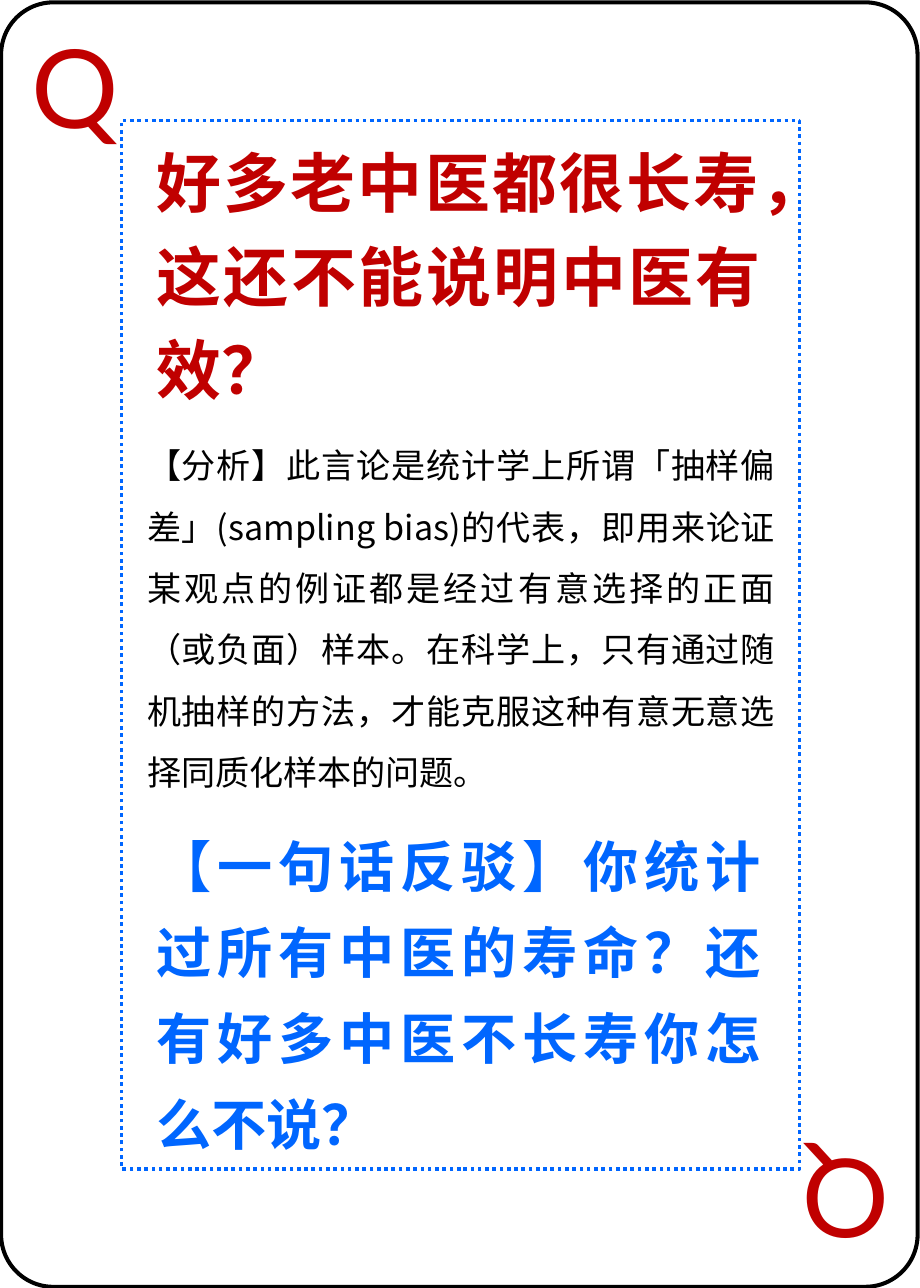
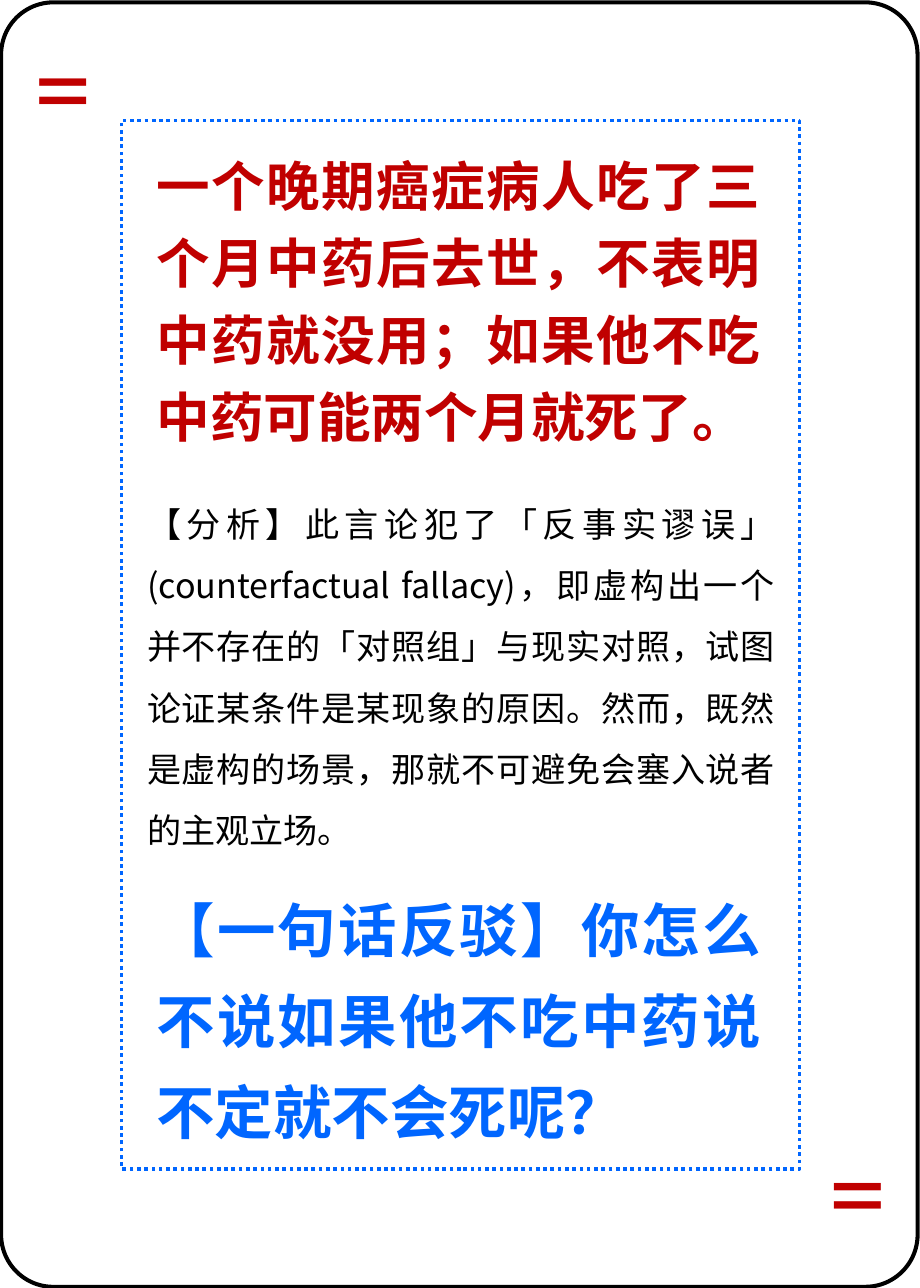
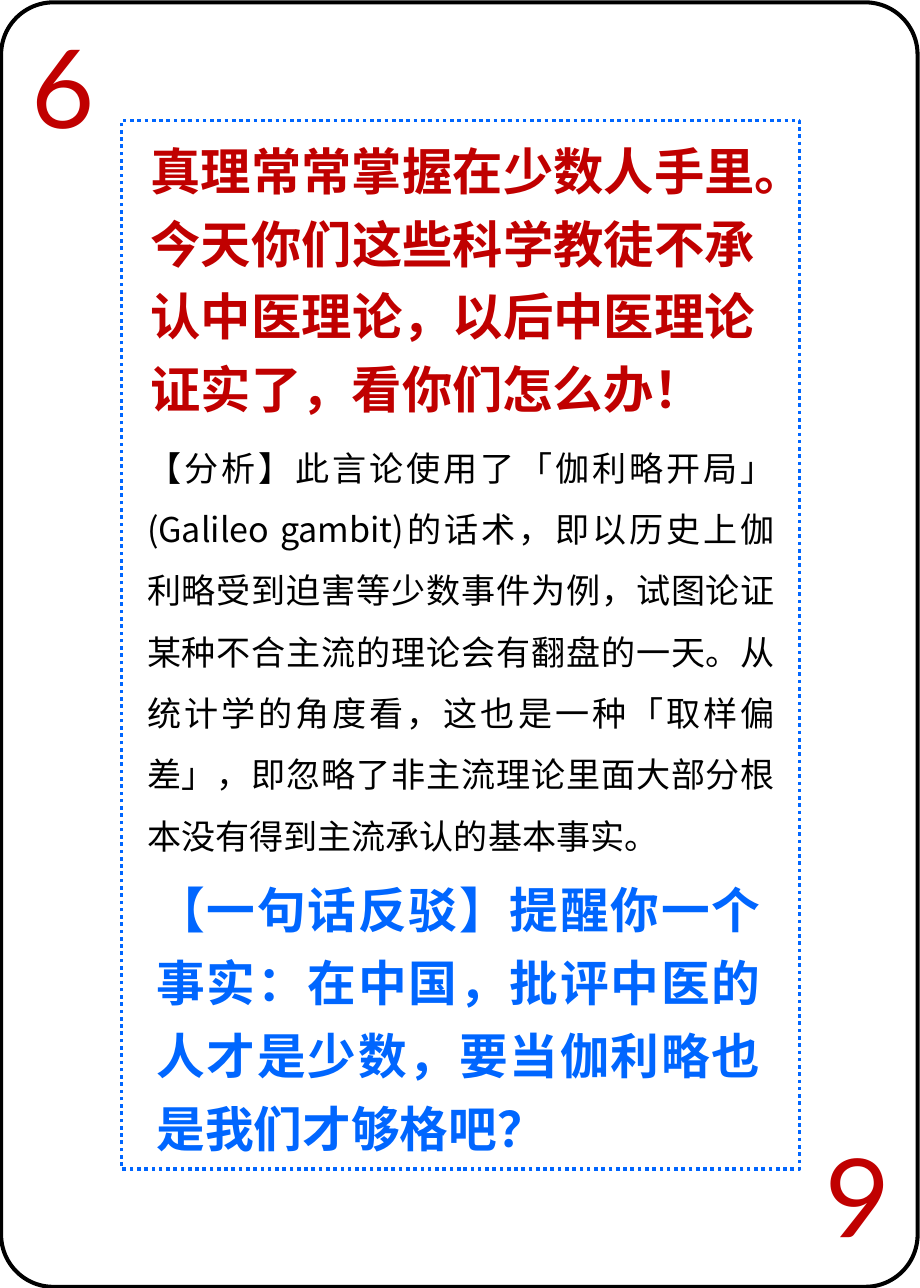
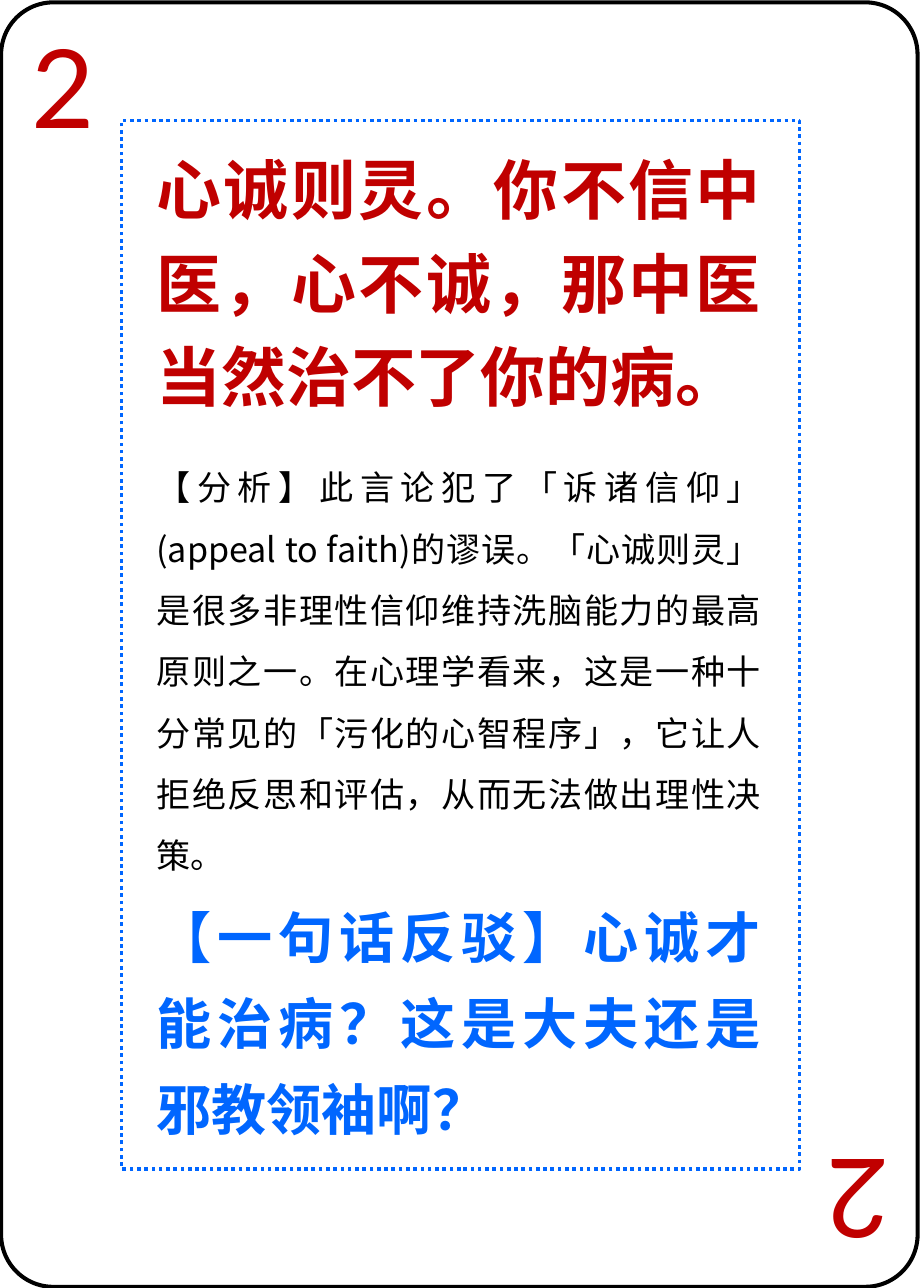
from dataclasses import dataclass

from lxml.etree import SubElement
from pptx import Presentation
from pptx.dml.color import RGBColor
from pptx.enum.dml import MSO_LINE
from pptx.enum.shapes import MSO_SHAPE
from pptx.enum.text import MSO_AUTO_SIZE, PP_ALIGN
from pptx.oxml.ns import qn
from pptx.util import Pt

SCALE = 9144
WIDE, HIGH = 787, 1102


@dataclass(frozen=True)
class Theme:
    """Colours, fonts and type sizes of the cards."""
    red: str = "C00000"
    blue: str = "0066FF"
    black: str = "000000"
    latin: str = "Lato"
    han: str = "Noto Sans CJK SC"
    rank: float = 67.2
    body: int = 21


class Deck:
    """Draws playing cards, one to a slide."""

    def __init__(self, theme):
        """Start an empty deck in card format."""
        self.theme = theme
        self.prs = Presentation()
        self.prs.slide_width = WIDE * SCALE
        self.prs.slide_height = HIGH * SCALE
        self.slide = None

    def start(self):
        """Open a new blank slide."""
        self.slide = self.prs.slides.add_slide(self.prs.slide_layouts[6])

    def text(self, box, words, size, color, font, bold=False):
        """Place a wrapped text box and return it."""
        shape = self.slide.shapes.add_textbox(*(n * SCALE for n in box))
        frame = shape.text_frame
        frame.word_wrap = True
        frame.auto_size = MSO_AUTO_SIZE.SHAPE_TO_FIT_TEXT
        frame.text = words
        run = frame.paragraphs[0].runs[0]
        run.font.size = Pt(size)
        run.font.bold = bold
        run.font.name = font
        run.font.color.rgb = RGBColor.from_string(color)
        SubElement(run.font._element, qn("a:ea")).set("typeface", font)
        return shape

    def block(self, box, words, size, color, space, bold=True):
        """Place a justified Chinese paragraph."""
        shape = self.text(box, words, size, color, self.theme.han, bold)
        para = shape.text_frame.paragraphs[0]
        para.alignment = PP_ALIGN.JUSTIFY
        para.line_spacing = space

    def rank(self, sign):
        """Put the rank in two corners, the second upside down."""
        look = self.theme
        for left, top, turn in ((17, 12, 0), (695, 967, 180)):
            shape = self.text((left, top, 76, 123), sign, look.rank,
                              look.red, look.latin)
            shape.rotation = turn

    def outline(self, kind, box, color, width):
        """Draw an unfilled shape and return it."""
        shape = self.slide.shapes.add_shape(kind, *(n * SCALE for n in box))
        shape.shadow.inherit = False
        shape.fill.background()
        shape.line.color.rgb = RGBColor.from_string(color)
        shape.line.width = Pt(width)
        return shape

    def frame(self):
        """Draw the dotted inner frame."""
        shape = self.outline(MSO_SHAPE.RECTANGLE, (104, 103, 580, 897),
                             self.theme.blue, 2.25)
        shape.line.dash_style = MSO_LINE.ROUND_DOT

    def edge(self):
        """Draw the rounded card edge."""
        shape = self.outline(MSO_SHAPE.ROUNDED_RECTANGLE, (1, 2, 784, 1099),
                             self.theme.black, 2.5)
        shape.adjustments[0] = 0.057

    def card(self, sign, claim, study, reply):
        """Build one whole card."""
        look = self.theme
        self.start()
        self.rank(sign)
        box, size, words = claim
        self.block(box, words, size, look.red, 1.2)
        self.frame()
        box, words = study
        self.block(box, "【分析】" + words, look.body, look.black, 1.5, False)
        box, size, space, words = reply
        self.block(box, "【一句话反驳】" + words, size, look.blue, space)
        self.edge()


CARDS = (
    ("Q",
     ((124, 104, 537, 246), 40, "好多老中医都很长寿，这还不能说明中医有效？"),
     ((116, 358, 557, 322),
      "此言论是统计学上所谓「抽样偏差」(sampling bias)的代表，"
      "即用来论证某观点的例证都是经过有意选择的正面（或负面）样本。"
      "在科学上，只有通过随机抽样的方法，才能克服这种有意无意选择同质化样本的问题。"),
     ((124, 690, 537, 300), 34, 1.3,
      "你统计过所有中医的寿命？还有好多中医不长寿你怎么不说？")),
    ("=",
     ((124, 115, 537, 271), 33,
      "一个晚期癌症病人吃了三个月中药后去世，不表明中药就没用；"
      "如果他不吃中药可能两个月就死了。"),
     ((116, 408, 557, 322),
      "此言论犯了「反事实谬误」(counterfactual fallacy)，"
      "即虚构出一个并不存在的「对照组」与现实对照，试图论证某条件是某现象的原因。"
      "然而，既然是虚构的场景，那就不可避免会塞入说者的主观立场。"),
     ((124, 742, 537, 239), 36, 1.3,
      "你怎么不说如果他不吃中药说不定就不会死呢？")),
    ("6",
     ((119, 105, 537, 255), 31,
      "真理常常掌握在少数人手里。今天你们这些科学教徒不承认中医理论，"
      "以后中医理论证实了，看你们怎么办！"),
     ((116, 360, 557, 375),
      "此言论使用了「伽利略开局」(Galileo gambit)的话术，"
      "即以历史上伽利略受到迫害等少数事件为例，试图论证某种不合主流的理论会有翻盘的一天。"
      "从统计学的角度看，这也是一种「取样偏差」，"
      "即忽略了非主流理论里面大部分根本没有得到主流承认的基本事实。"),
     ((124, 735, 537, 266), 30, 1.25,
      "提醒你一个事实：在中国，批评中医的人才是少数，要当伽利略也是我们才够格吧？")),
    ("2",
     ((124, 110, 537, 246), 40,
      "心诚则灵。你不信中医，心不诚，那中医当然治不了你的病。"),
     ((124, 377, 537, 375),
      "此言论犯了「诉诸信仰」(appeal to faith)的谬误。"
      "「心诚则灵」是很多非理性信仰维持洗脑能力的最高原则之一。"
      "在心理学看来，这是一种十分常见的「污化的心智程序」，"
      "它让人拒绝反思和评估，从而无法做出理性决策。"),
     ((124, 751, 537, 226), 34, 1.3,
      "心诚才能治病？这是大夫还是邪教领袖啊？")),
)


def main():
    """Build and save the deck."""
    deck = Deck(Theme())
    for card in CARDS:
        deck.card(*card)
    deck.prs.save("out.pptx")


if __name__ == "__main__":
    main()
